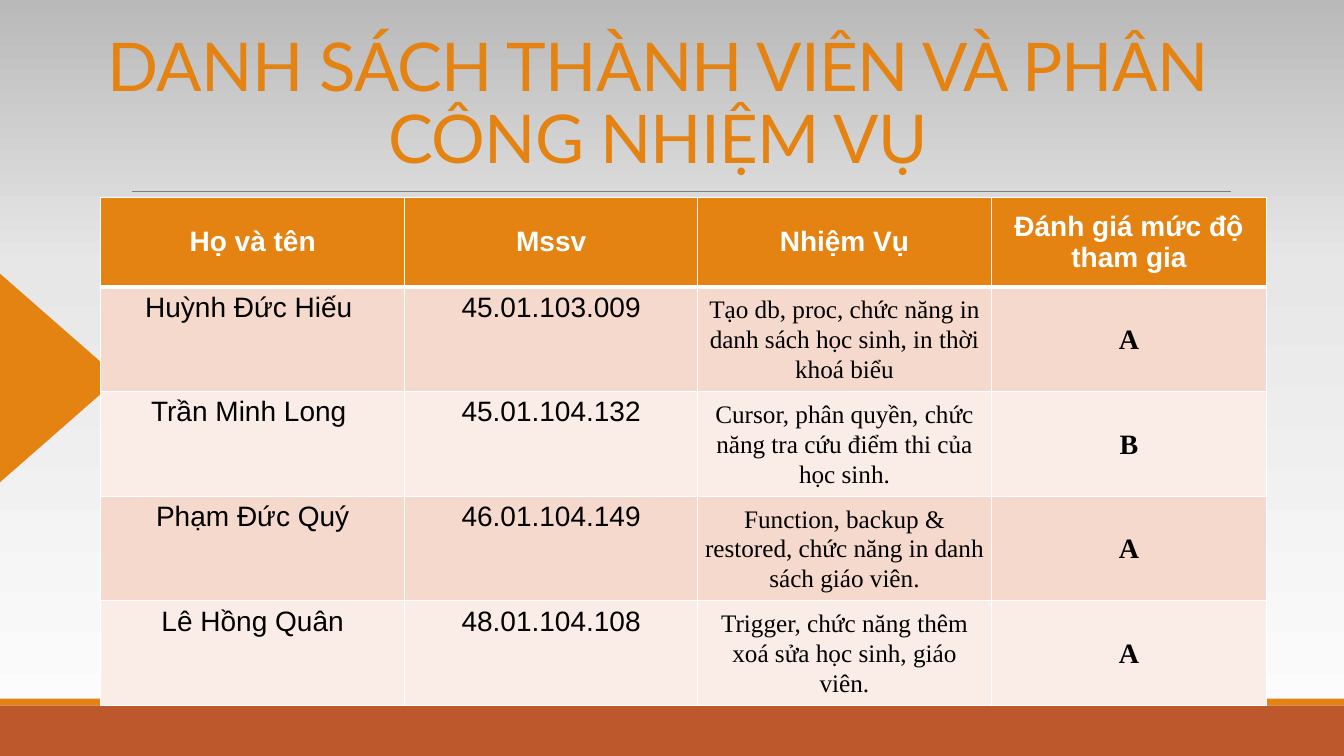
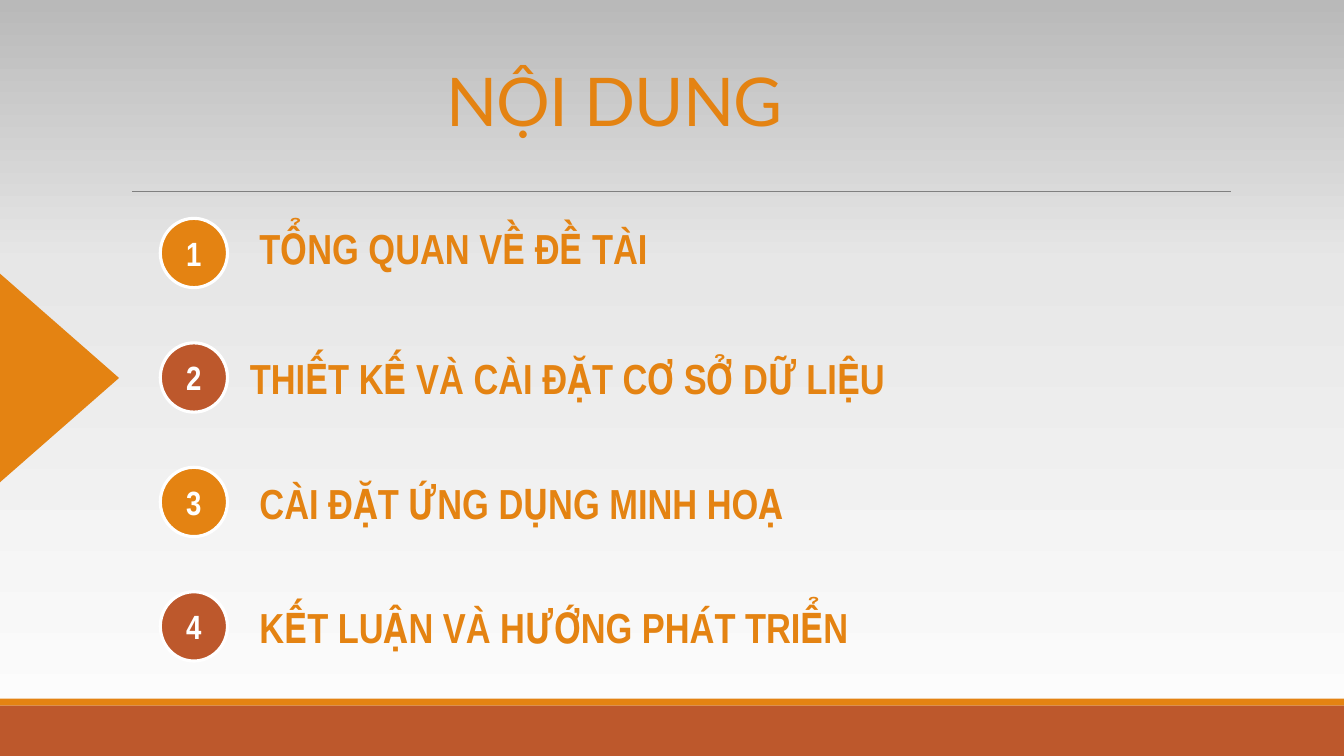
from copy import deepcopy
from dataclasses import dataclass
from typing import NamedTuple

from lxml import etree
from pptx import Presentation
from pptx.dml.color import RGBColor
from pptx.enum.shapes import MSO_CONNECTOR, MSO_SHAPE, PP_PLACEHOLDER
from pptx.enum.text import MSO_ANCHOR, MSO_AUTO_SIZE, PP_ALIGN
from pptx.oxml.ns import qn
from pptx.util import Pt

RECT = MSO_SHAPE.RECTANGLE
OVAL = MSO_SHAPE.OVAL
WEDGE = MSO_SHAPE.ISOSCELES_TRIANGLE
LINE = MSO_CONNECTOR.STRAIGHT
TITLE = PP_PLACEHOLDER.TITLE
CENTER = PP_ALIGN.CENTER
LEFT = PP_ALIGN.LEFT
MIDDLE = MSO_ANCHOR.MIDDLE
TOP = MSO_ANCHOR.TOP
FIXED = MSO_AUTO_SIZE.NONE


@dataclass(frozen=True)
class Theme:
    orange: str = "E48312"
    rust: str = "BD582C"
    white: str = "FFFFFF"
    black: str = "000000"
    gray: str = "808080"
    bands: tuple = ("F5D9CC", "FAEDE7")
    back: tuple = ((0, "FEFEFE"), (0.65, "E7E7E7"), (1, "B9B9B9"))
    head: float = 48
    label: float = 30
    badge: float = 24
    cell: float = 20
    task: float = 18


THEME = Theme()


class Box(NamedTuple):
    x: float
    y: float
    w: float
    h: float

    def points(self) -> tuple:
        return tuple(Pt(v) for v in self)


class Style(NamedTuple):
    face: str
    size: float
    color: str
    bold: bool = False
    align: int = CENTER


class Member(NamedTuple):
    name: str
    code: str
    task: str
    grade: str


class Topic(NamedTuple):
    text: str
    lift: float = 4


HEAD = Style("Lato", THEME.head, THEME.orange)
BADGE = Style("Arial Narrow", THEME.badge, THEME.white, True)
LABEL = Style("Arial Narrow", THEME.label, THEME.orange, True, LEFT)
TOPROW = Style("Arial", THEME.cell, THEME.white, True)
PLAIN = Style("Arial", THEME.cell, THEME.black)
TASK = Style("Times New Roman", THEME.task, THEME.black)
GRADE = Style("Times New Roman", THEME.cell, THEME.black, True)

HEADS = ("Họ và tên", "Mssv", "Nhiệm Vụ", "Đánh giá mức độ tham gia")
TEAM = (
    Member("Huỳnh Đức Hiếu ", "45.01.103.009",
           "Tạo db, proc, chức năng in danh sách học sinh, in thời khoá biểu", "A"),
    Member("Trần Minh Long ", "45.01.104.132",
           "Cursor, phân quyền, chức năng tra cứu điểm thi của học sinh.", "B"),
    Member("Phạm Đức Quý", "46.01.104.149",
           "Function, backup & restored, chức năng in danh sách giáo viên.", "A"),
    Member("Lê Hồng Quân", "48.01.104.108",
           "Trigger, chức năng thêm xoá sửa học sinh, giáo viên.", "A"),
)
TOPICS = (
    Topic(" TỔNG QUAN VỀ ĐỀ TÀI", 8),
    Topic("THIẾT KẾ VÀ CÀI ĐẶT CƠ SỞ DỮ LIỆU"),
    Topic(" CÀI ĐẶT ỨNG DỤNG MINH HOẠ"),
    Topic(" KẾT LUẬN VÀ HƯỚNG PHÁT TRIỂN"),
)


def rgb(code: str) -> RGBColor:
    return RGBColor.from_string(code)


def write(frame, text: str, style: Style, anchor=MIDDLE):
    frame.vertical_anchor = anchor
    par = frame.paragraphs[0]
    par.text = text
    par.alignment = style.align
    font = par.font
    font.name, font.size, font.bold = style.face, Pt(style.size), style.bold
    font.color.rgb = rgb(style.color)
    return par


def inset(part, side: float, edge: float) -> None:
    part.margin_left = part.margin_right = Pt(side)
    part.margin_top = part.margin_bottom = Pt(edge)


def add_form(slide, kind, box: Box, fill: str):
    form = slide.shapes.add_shape(kind, *box.points())
    form.shadow.inherit = False
    form.fill.solid()
    form.fill.fore_color.rgb = rgb(fill)
    form.line.fill.background()
    return form


def add_rule(slide):
    y = Pt(137)
    rule = slide.shapes.add_connector(LINE, Pt(94.5), y, Pt(879), y)
    rule.line.color.rgb = rgb(THEME.gray)
    rule.line.width = Pt(0.5)
    etree.SubElement(rule.element.spPr, qn("a:effectLst"))
    return rule


def paint_back(layout) -> None:
    fill = layout.background.fill
    fill.gradient()
    stops = next(layout.element.iter(qn("a:gsLst")))
    stops.append(deepcopy(stops[0]))
    for stop, (place, color) in zip(fill.gradient_stops, THEME.back):
        stop.position = place
        stop.color.rgb = rgb(color)
    fill.gradient_angle = 90


def dress(layout, slide) -> None:
    paint_back(layout)
    for holder in list(layout.placeholders):
        if holder.placeholder_format.type != TITLE:
            holder.element.getparent().remove(holder.element)
    wedge = add_form(slide, WEDGE, Box(-32, 227.5, 149, 85), THEME.orange)
    wedge.rotation = 90
    decor = (
        add_form(slide, RECT, Box(0, 504, 960, 36), THEME.rust),
        add_form(slide, RECT, Box(0, 499, 960, 5), THEME.orange),
        add_rule(slide),
        wedge,
    )
    for part in decor:
        layout.shapes.element.insert(2, part.element)


def set_title(slide, text: str, box: Box) -> None:
    title = slide.shapes.title
    title.left, title.top, title.width, title.height = box.points()
    frame = title.text_frame
    frame.word_wrap = True
    frame.auto_size = FIXED
    inset(frame, 0, 0)
    par = write(frame, text, HEAD)
    par.line_spacing = 0.9
    par.runs[0].font.size = Pt(HEAD.size)
    par.runs[0]._r.get_or_add_rPr().set("spc", "-50")


def edge(cell, row: int) -> None:
    props = cell._tc.get_or_add_tcPr()
    widths = {"L": 1, "R": 1, "T": 3 if row == 1 else 1, "B": 3 if row == 0 else 1}
    for side, width in widths.items():
        line = etree.SubElement(props, qn(f"a:ln{side}"), w=str(Pt(width)))
        fill = etree.SubElement(line, qn("a:solidFill"))
        etree.SubElement(fill, qn("a:srgbClr"), val=THEME.white)


def fill_cell(cell, row: int, text: str, style: Style, color: str) -> None:
    edge(cell, row)
    cell.fill.solid()
    cell.fill.fore_color.rgb = rgb(color)
    tight = style in (TASK, GRADE)
    inset(cell, 5 if tight else 7.2, 0 if tight else 3.6)
    anchor = TOP if style == PLAIN else MIDDLE
    cell.vertical_anchor = anchor
    par = write(cell.text_frame, text, style, anchor)
    if tight:
        par.line_spacing = 1.07
        par.space_after = Pt(8)


def add_team(slide) -> None:
    widths = (217, 209.5, 209.5, 197)
    heights = (64,) + (74.7,) * len(TEAM)
    box = Box(72, 141, sum(widths), sum(heights))
    table = slide.shapes.add_table(len(heights), len(widths), *box.points()).table
    table.first_row = table.horz_banding = False
    for col, width in zip(table.columns, widths):
        col.width = Pt(width)
    for row, height in zip(table.rows, heights):
        row.height = Pt(height)
    for c, text in enumerate(HEADS):
        fill_cell(table.cell(0, c), 0, text, TOPROW, THEME.orange)
    styles = (PLAIN, PLAIN, TASK, GRADE)
    for r, member in enumerate(TEAM, 1):
        color = THEME.bands[(r - 1) % 2]
        for c, (text, style) in enumerate(zip(member, styles)):
            fill_cell(table.cell(r, c), r, text, style, color)


def add_topic(slide, index: int, topic: Topic) -> None:
    y = 156 + 88.9 * index
    color = (THEME.orange, THEME.rust)[index % 2]
    badge = add_form(slide, OVAL, Box(114.5, y, 48, 49.5), color)
    badge.line.color.rgb = rgb(THEME.white)
    badge.line.width = Pt(2.25)
    write(badge.text_frame, str(index + 1), BADGE)
    box = Box(178.5, y - topic.lift, 500, 58)
    frame = slide.shapes.add_textbox(*box.points()).text_frame
    frame.word_wrap = True
    inset(frame, 0, 0)
    write(frame, topic.text, LABEL)


def main() -> None:
    deck = Presentation()
    deck.slide_width, deck.slide_height = Pt(960), Pt(540)
    layout = deck.slide_layouts[5]
    team = deck.slides.add_slide(layout)
    dress(layout, team)
    set_title(team, "DANH SÁCH THÀNH VIÊN VÀ PHÂN CÔNG NHIỆM VỤ",
              Box(72, 22.5, 796, 106))
    add_team(team)
    plan = deck.slides.add_slide(layout)
    set_title(plan, "NỘI DUNG", Box(178.5, 15, 521, 119.5))
    for index, topic in enumerate(TOPICS):
        add_topic(plan, index, topic)
    deck.save("out.pptx")


if __name__ == "__main__":
    main()
